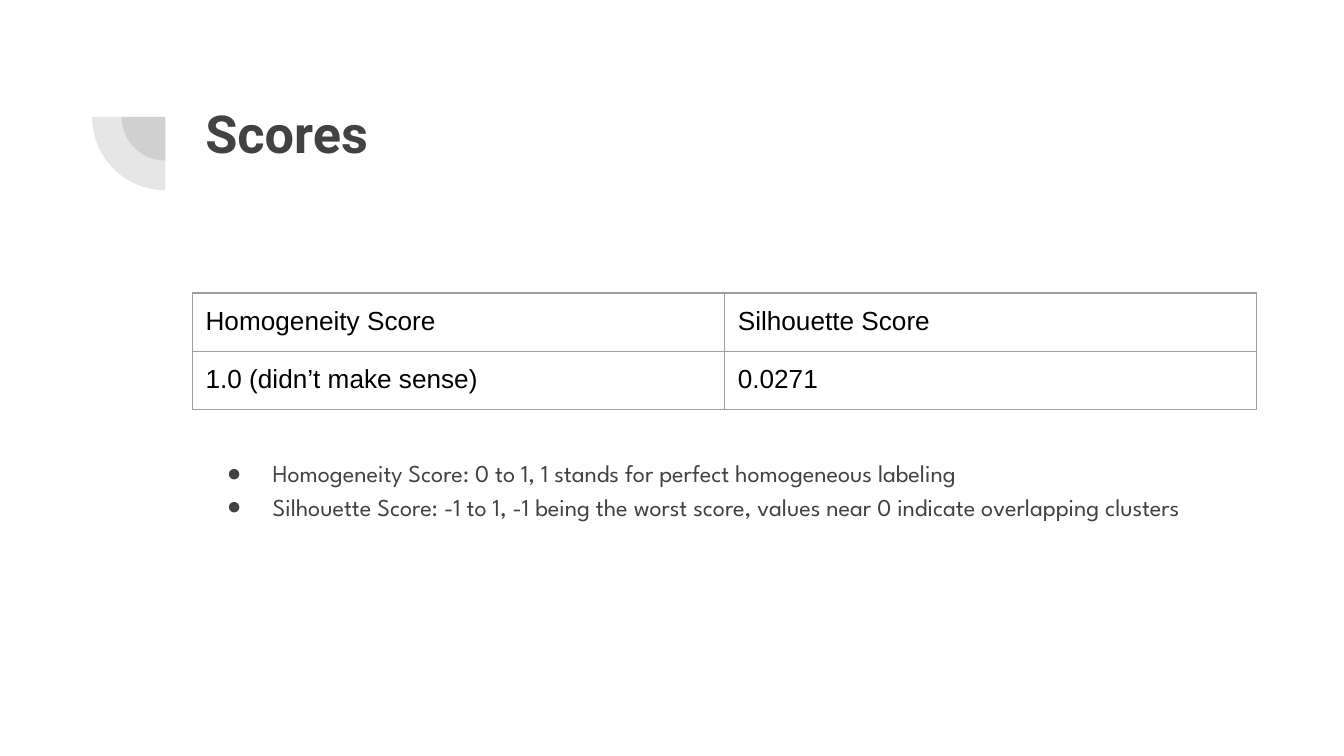
import pptx
import pptx.util
import pptx.dml.color
import pptx.enum.shapes
import pptx.oxml
import pptx.oxml.ns
import lxml.etree

Inches = pptx.util.Inches
RGBColor = pptx.dml.color.RGBColor
qn = pptx.oxml.ns.qn

DARK_GRAY = RGBColor(0x42, 0x42, 0x42)
BORDER_GRAY = RGBColor(0x9E, 0x9E, 0x9E)
BLACK = RGBColor(0, 0, 0)

NAMESPACE = pptx.oxml.ns.nsdecls("a")


def style_frame(frame, font_name, size, color, bold=False):
    frame.word_wrap = True
    frame.margin_left = frame.margin_right = Inches(0.1)
    frame.margin_top = frame.margin_bottom = Inches(0.1)
    for paragraph in frame.paragraphs:
        for font in [paragraph.font] + [run.font for run in paragraph.runs]:
            font.name = font_name
            font.size = pptx.util.Pt(size)
            font.color.rgb = color
            font.bold = bold
        paragraph._p.append(pptx.oxml.parse_xml(
            f'<a:endParaRPr {NAMESPACE} sz="{size * 100}">'
            f'<a:latin typeface="{font_name}"/></a:endParaRPr>'))


presentation = pptx.Presentation()
presentation.slide_width = Inches(10)
presentation.slide_height = presentation.slide_width * 9 // 16
slide = presentation.slides.add_slide(presentation.slide_layouts[6])

center_x, center_y = 1.23, 0.87
for diameter in (0.65, 1.09):
    quarter = slide.shapes.add_shape(
        pptx.enum.shapes.MSO_SHAPE.PIE,
        Inches(center_x - diameter / 2), Inches(center_y - diameter / 2),
        Inches(diameter), Inches(diameter))
    quarter.adjustments[0] = 54
    quarter.adjustments[1] = 108
    quarter.shadow.inherit = False
    quarter.line.fill.background()
    quarter.fill.solid()
    quarter.fill.fore_color.rgb = DARK_GRAY
    color_element = quarter.fill._xPr.find(".//" + qn("a:srgbClr"))
    lxml.etree.SubElement(color_element, qn("a:alpha"), val="13000")

title = slide.shapes.add_textbox(Inches(1.43), Inches(0.65), Inches(7.69), Inches(1.09))
title.text_frame.text = "Scores"
style_frame(title.text_frame, "Roboto", 28, DARK_GRAY, bold=True)

body = slide.shapes.add_textbox(Inches(1.43), Inches(3.28), Inches(7.69), Inches(1.68))
body.text_frame.text = "\n".join([
    "Homogeneity Score: 0 to 1, 1 stands for perfect homogeneous labeling",
    "Silhouette Score: -1 to 1, -1 being the worst score, values near 0 indicate overlapping clusters",
])
for paragraph in body.text_frame.paragraphs:
    paragraph.line_spacing = 1.15
    properties = paragraph._p.get_or_add_pPr()
    properties.set("marL", str(Inches(0.5)))
    properties.set("indent", str(Inches(-0.34)))
    for bullet_xml in (
        f'<a:buClr {NAMESPACE}><a:srgbClr val="{DARK_GRAY}"/></a:buClr>',
        f'<a:buFont {NAMESPACE} typeface="Arial"/>',
        f'<a:buChar {NAMESPACE} char="●"/>',
    ):
        properties.append(pptx.oxml.parse_xml(bullet_xml))
style_frame(body.text_frame, "League Spartan", 13, DARK_GRAY)

scores = [
    ["Homogeneity Score", "Silhouette Score"],
    ["1.0 (didn’t make sense)", "0.0271"],
]
table = slide.shapes.add_table(
    2, 2, Inches(1.43), Inches(2.18), Inches(7.92), Inches(0.84)).table
table.first_row = False
table.horz_banding = False
for row_index, row in enumerate(scores):
    for column_index, text in enumerate(row):
        cell = table.cell(row_index, column_index)
        cell.text = text
        style_frame(cell.text_frame, "Arial", 14, BLACK)
        cell.margin_left = cell.margin_right = Inches(0.1)
        cell.margin_top = cell.margin_bottom = Inches(0.1)
        cell_properties = cell._tc.get_or_add_tcPr()
        for side in ("lnL", "lnR", "lnT", "lnB"):
            cell_properties.append(pptx.oxml.parse_xml(
                f'<a:{side} {NAMESPACE} w="{pptx.util.Pt(0.75)}"><a:solidFill>'
                f'<a:srgbClr val="{BORDER_GRAY}"/></a:solidFill></a:{side}>'))
        cell.fill.background()

presentation.save("out.pptx")
